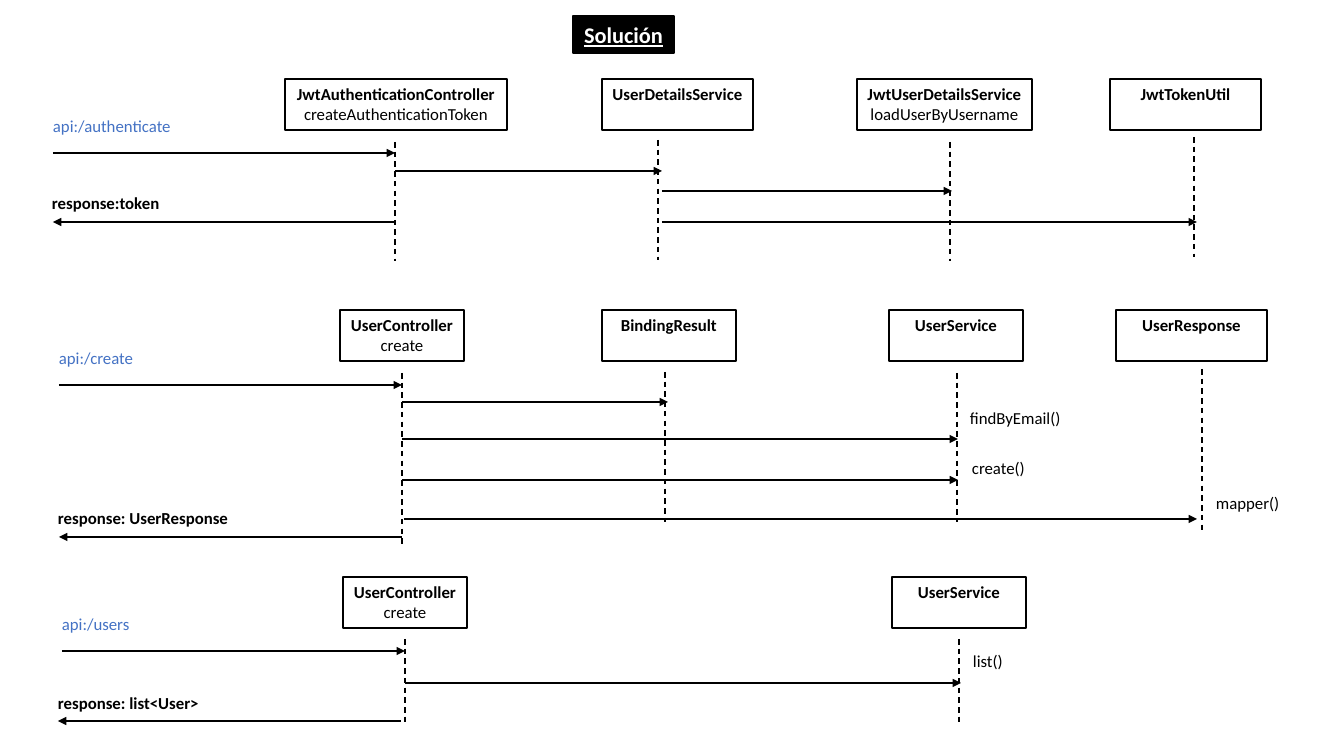
from typing import NamedTuple

from lxml.etree import SubElement
from pptx import Presentation
from pptx.dml.color import RGBColor
from pptx.enum.dml import MSO_LINE
from pptx.enum.shapes import MSO_CONNECTOR as Connector, MSO_SHAPE as Shape
from pptx.enum.text import MSO_ANCHOR as Anchor, PP_ALIGN as Align
from pptx.oxml.ns import qn
from pptx.util import Emu, Pt

PIXEL = 914400 / 100.8
HEAD_HEIGHT = 51
LABEL_HEIGHT = 30
COLORS = {"ink": "000000", "paper": "FFFFFF", "endpoint": "4472C4"}
FONTS = {
    "title": {"size": Pt(16), "bold": True, "underline": True},
    "name": {"size": Pt(12), "bold": True},
    "plain": {"size": Pt(12), "bold": False},
}


class Participant(NamedTuple):
    """A boxed class, its method and its dashed lifeline."""
    name: str
    method: str
    left: int
    width: int
    line_x: int
    line_top: int
    line_bottom: int


class Message(NamedTuple):
    """A horizontal arrow."""
    start: int
    end: int
    y: int


class Label(NamedTuple):
    """A caption beside an arrow."""
    text: str
    left: int
    top: int
    width: int
    font: str = "plain"
    color: str = "ink"


class Sequence(NamedTuple):
    """One sequence diagram."""
    top: int
    participants: list[Participant]
    messages: list[Message]
    labels: list[Label]


SEQUENCES = [
    Sequence(
        79,
        [
            Participant("JwtAuthenticationController", "createAuthenticationToken", 285, 222, 395, 142, 261),
            Participant("UserDetailsService", "", 602, 151, 658, 140, 260),
            Participant("JwtUserDetailsService", "loadUserByUsername", 857, 175, 950, 142, 261),
            Participant("JwtTokenUtil", "", 1110, 151, 1194, 137, 257),
        ],
        [Message(53, 395, 153), Message(395, 662, 171), Message(662, 952, 191),
         Message(662, 1197, 222), Message(395, 53, 222)],
        [
            Label("api:/authenticate", 43, 111, 143, color="endpoint"),
            Label("response:token", 42, 188, 129, "name"),
        ],
    ),
    Sequence(
        310,
        [
            Participant("UserController", "create", 340, 124, 402, 373, 544),
            Participant("BindingResult", "", 602, 134, 665, 372, 522),
            Participant("UserService", "", 889, 134, 957, 373, 522),
            Participant("UserResponse", "", 1116, 151, 1202, 369, 530),
        ],
        [Message(59, 402, 385), Message(402, 668, 402), Message(402, 958, 439),
         Message(402, 958, 480), Message(404, 1197, 519), Message(402, 59, 537)],
        [
            Label("api:/create", 49, 343, 97, color="endpoint"),
            Label("findByEmail()", 960, 403, 123),
            Label("create()", 962, 453, 123),
            Label("mapper()", 1206, 488, 123),
            Label("response: UserResponse", 48, 503, 193, "name"),
        ],
    ),
    Sequence(
        577,
        [
            Participant("UserController", "create", 343, 124, 405, 639, 725),
            Participant("UserService", "", 892, 134, 959, 639, 725),
        ],
        [Message(62, 405, 651), Message(405, 961, 683), Message(401, 58, 721)],
        [
            Label("api:/users", 52, 609, 89, color="endpoint"),
            Label("list()", 963, 646, 123),
            Label("response: list<User>", 48, 688, 162, "name"),
        ],
    ),
]


def px(value: float) -> Emu:
    """Turn pixels into EMU."""
    return Emu(round(value * PIXEL))


def rgb(name: str) -> RGBColor:
    """Look up a named colour."""
    return RGBColor.from_string(COLORS[name])


def write(box, lines: list[tuple[str, str]], color: str, align: Align, wrap: bool) -> None:
    """Fill a box with (text, font) lines."""
    frame = box.text_frame
    for key, value in {"word_wrap": wrap, "vertical_anchor": Anchor.TOP}.items():
        setattr(frame, key, value)
    for index, (text, font) in enumerate(lines):
        para = frame.add_paragraph() if index else frame.paragraphs[0]
        para.alignment = align
        span = para.add_run()
        span.text = text
        for key, value in {"name": "Calibri", **FONTS[font]}.items():
            setattr(span.font, key, value)
        span.font.color.rgb = rgb(color)


def draw_box(page, left: int, top: int, width: int, height: int, fill: str):
    """Draw an outlined rectangle."""
    box = page.shapes.add_shape(Shape.RECTANGLE, px(left), px(top), px(width), px(height))
    box.shadow.inherit = False
    box.fill.solid()
    box.fill.fore_color.rgb = rgb(fill)
    box.line.color.rgb = rgb("ink")
    box.line.width = Pt(1)
    return box


def draw_line(page, x1: int, y1: int, x2: int, y2: int, dashed: bool = False) -> None:
    """Draw a dashed lifeline or a solid arrow."""
    line = page.shapes.add_connector(Connector.STRAIGHT, px(x1), px(y1), px(x2), px(y2))
    line.line.color.rgb = rgb("ink")
    line.line.width = Pt(1)
    if dashed:
        line.line.dash_style = MSO_LINE.DASH
    else:
        SubElement(line.line._get_or_add_ln(), qn("a:tailEnd"), type="triangle")
    SubElement(line.element.spPr, qn("a:effectLst"))


def draw_participant(page, item: Participant, top: int) -> None:
    """Draw a participant's box and lifeline."""
    box = draw_box(page, item.left, top, item.width, HEAD_HEIGHT, "paper")
    lines = [(item.name, "name")]
    if item.method:
        lines.append((item.method, "plain"))
    write(box, lines, "ink", Align.CENTER, wrap=False)
    draw_line(page, item.line_x, item.line_top, item.line_x, item.line_bottom, dashed=True)


def draw_label(page, label: Label) -> None:
    """Draw a caption."""
    box = page.shapes.add_textbox(px(label.left), px(label.top), px(label.width), px(LABEL_HEIGHT))
    box.text_frame.margin_right = 0
    write(box, [(label.text, label.font)], label.color, Align.LEFT, wrap=True)


def draw_sequence(page, sequence: Sequence) -> None:
    """Draw one whole sequence diagram."""
    for participant in sequence.participants:
        draw_participant(page, participant, sequence.top)
    for message in sequence.messages:
        draw_line(page, message.start, message.y, message.end, message.y)
    for label in sequence.labels:
        draw_label(page, label)


deck = Presentation()
deck.slide_width, deck.slide_height = px(1344), px(756)
page = deck.slides.add_slide(deck.slide_layouts[6])
title = draw_box(page, 573, 16, 101, 37, "ink")
write(title, [("Solución", "title")], "paper", Align.CENTER, wrap=False)
for sequence in SEQUENCES:
    draw_sequence(page, sequence)
deck.save("out.pptx")
